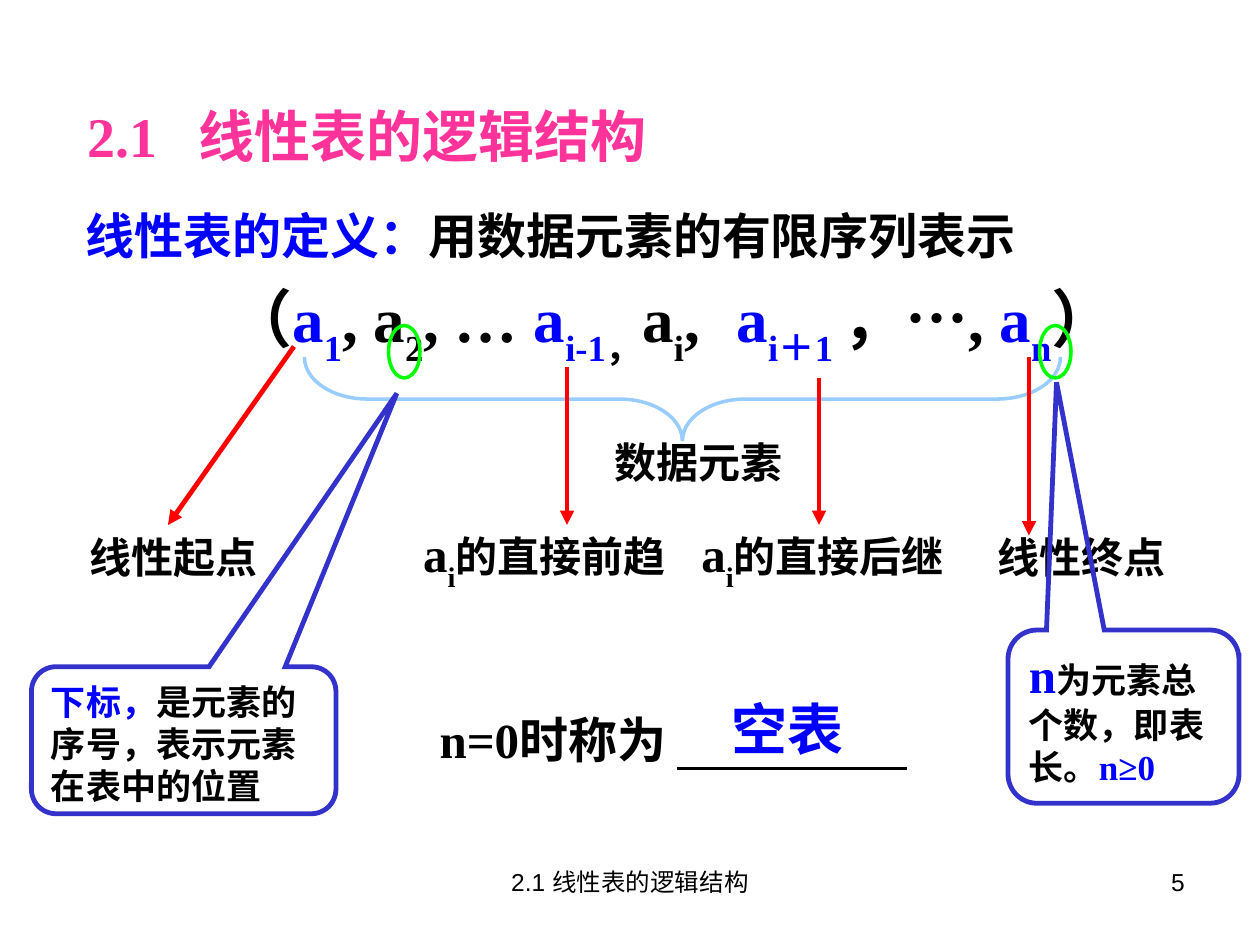
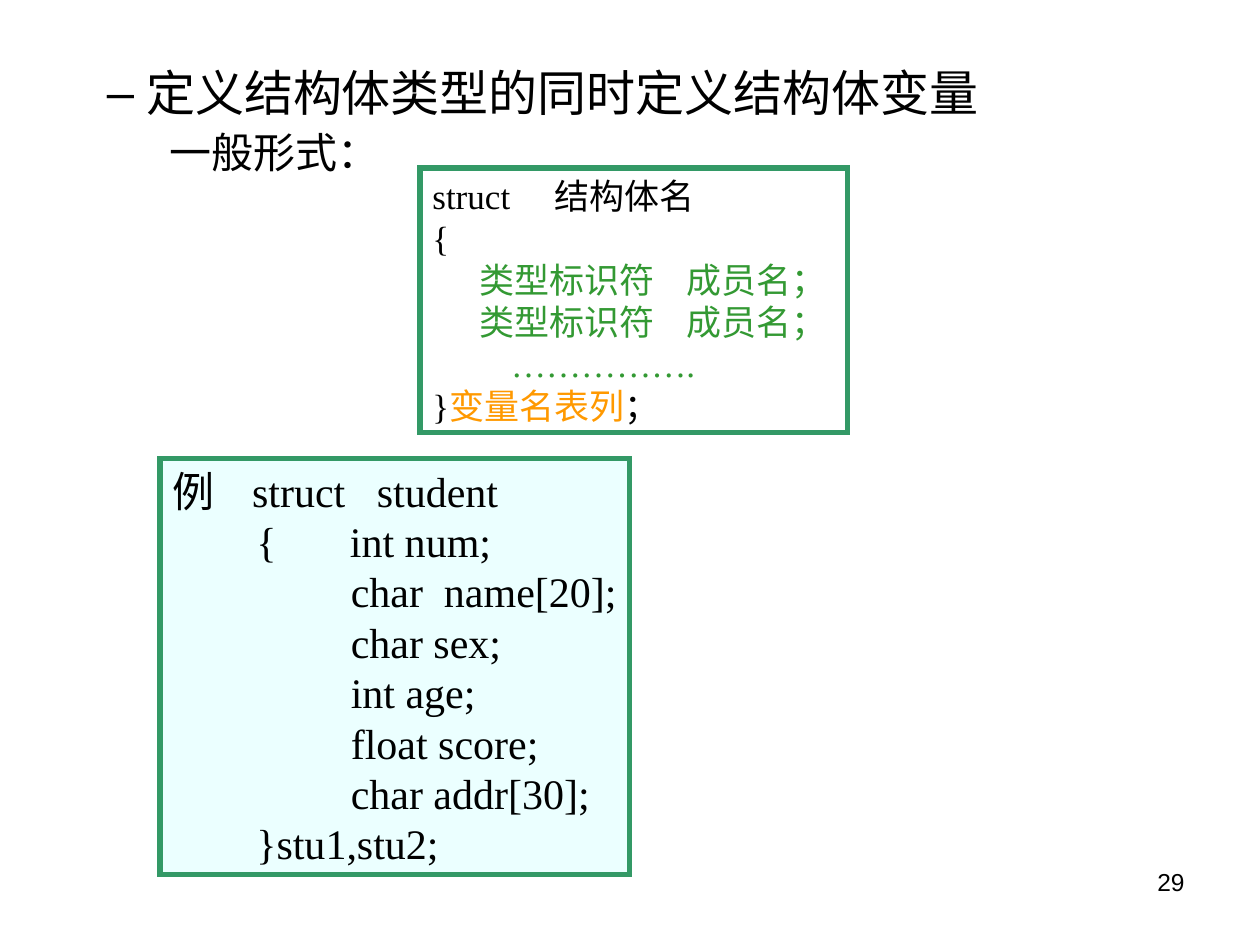
import pptx
import pptx.util
import pptx.dml.color
import pptx.enum.shapes
import pptx.enum.text
import pptx.oxml
import pptx.oxml.ns
from dataclasses import dataclass

Pt = pptx.util.Pt
Align = pptx.enum.text.PP_ALIGN
Anchor = pptx.enum.text.MSO_ANCHOR
Form = pptx.enum.shapes.MSO_SHAPE

# Shared look
SERIF, SANS = "Times New Roman", "Arial"
BLACK, BLUE, PINK, RED = "000000", "0000FF", "FF3399", "FF0000"
INDIGO, SKY, LIME = "3333CC", "99CCFF", "00FF00"
GREEN, LEAF, ORANGE, MINT = "339966", "339933", "FF9900", "EBFFFF"

# The slide is a grid of 120 columns by 90 rows
WIDE, HIGH = 10, 7.5
COLS = 120


@dataclass
class Run:
    text: str
    tint: str = ""
    size: float = 0
    low: bool = False
    gap: float = 0


def unit(count):
    return pptx.util.Inches(count * WIDE / COLS)


def place(*cells):
    return [unit(cell) for cell in cells]


def color(code):
    return pptx.dml.color.RGBColor.from_string(code)


def add_xml(parent, tag, **attrs):
    node = pptx.oxml.parse_xml(f"<a:{tag} {pptx.oxml.ns.nsdecls('a')}/>")
    for key, value in attrs.items():
        node.set(key, value)
    parent.append(node)
    return node


def style(para, size, tint=BLACK, face=SERIF, bold=False):
    font = para.font
    font.name, font.size, font.bold = face, Pt(size), bold
    font.color.rgb = color(tint)


def fill_para(para, runs, size, align=Align.LEFT, **look):
    """Write strings or Run items into one paragraph."""
    para.alignment = align
    style(para, size, **look)
    for item in [runs] if isinstance(runs, str) else runs:
        item = Run(item) if isinstance(item, str) else item
        run = para.add_run()
        run.text = item.text
        if item.tint:
            run.font.color.rgb = color(item.tint)
        if item.size:
            run.font.size = Pt(item.size)
        if item.low:
            run._r.get_or_add_rPr().set("baseline", "-30000")
        if item.gap:
            run._r.get_or_add_rPr().set("spc", str(int(item.gap * 100)))


def add_text(slide, cells, runs, size, align=Align.CENTER, bold=True, **look):
    frame = slide.shapes.add_textbox(*place(*cells)).text_frame
    frame.word_wrap = True
    fill_para(frame.paragraphs[0], runs, size, align, bold=bold, **look)


def add_form(slide, kind, cells, edge, width, fill=None):
    shape = slide.shapes.add_shape(kind, *place(*cells))
    shape.shadow.inherit = False
    shape.line.color.rgb = color(edge)
    shape.line.width = Pt(width)
    add_xml(shape.line._get_or_add_ln(), "miter", lim="800000")
    if fill:
        shape.fill.solid()
        shape.fill.fore_color.rgb = color(fill)
    else:
        shape.fill.background()
    return shape


def add_line(slide, start, end, tint, width, arrow=False):
    kind = pptx.enum.shapes.MSO_CONNECTOR.STRAIGHT
    line = slide.shapes.add_connector(kind, *place(*start, *end))
    line.line.color.rgb = color(tint)
    line.line.width = Pt(width)
    if arrow:
        add_xml(line.line._get_or_add_ln(), "tailEnd", type="triangle")
    add_xml(line._element.spPr, "effectLst")


def add_note(slide, cells, tip, runs):
    """Callout whose tip is given as shares of its own size."""
    note = add_form(slide, Form.ROUNDED_RECTANGULAR_CALLOUT, cells, INDIGO, 2.75)
    for index, value in enumerate((*tip, 0.167)):
        note.adjustments[index] = value
    frame = note.text_frame
    frame.word_wrap = True
    frame.vertical_anchor = Anchor.TOP
    fill_para(frame.paragraphs[0], runs, 20, bold=True)


def add_code(slide, cells, lines, size, fill=None):
    frame = add_form(slide, Form.RECTANGLE, cells, GREEN, 3, fill).text_frame
    frame.word_wrap = True
    frame.margin_right = 0
    frame.vertical_anchor = Anchor.MIDDLE
    for index, runs in enumerate(lines):
        para = frame.add_paragraph() if index else frame.paragraphs[0]
        fill_para(para, runs, size)


def add_foot(slide, number, label=""):
    look = dict(face=SANS, bold=False)
    add_text(slide, (86, 82, 28, 6.2), number, 14, Align.RIGHT, **look)
    if label:
        add_text(slide, (41, 82, 38, 6.2), label, 14, **look)


def set_title(slide, cells, text, stop):
    title = slide.shapes.title
    title.left, title.top, title.width, title.height = place(*cells)
    title.text_frame.vertical_anchor = Anchor.MIDDLE
    para = title.text_frame.paragraphs[0]
    tabs = add_xml(para._p.get_or_add_pPr(), "tabLst")
    add_xml(tabs, "tab", pos=str(unit(stop)), algn="l")
    fill_para(para, text, 32, tint=PINK, bold=True)


def draw_logic(deck):
    slide = deck.slides.add_slide(deck.slide_layouts[5])
    set_title(slide, (7.1, 9.1, 89, 7.6), "2.1\t线性表的逻辑结构", 10.6)

    # Definition and sequence
    add_text(slide, (7, 19, 104, 6.8),
             [Run("线性表的定义：", BLUE), "用数据元素的有限序列表示"], 28, Align.LEFT)
    add_text(slide, (12, 26, 104, 23), [
        "（", Run("a", BLUE), Run("1", BLUE, low=True),
        ", a", Run("2", low=True), ", … ",
        Run("a", BLUE), Run("i-1", BLUE, low=True), Run("，", low=True),
        "a", Run("i", low=True), Run(", ", gap=6),
        Run("a", BLUE), Run("i＋1 ", BLUE, low=True), "，…, ",
        Run("a", BLUE), Run("n", BLUE, low=True), "）"], 36)

    # Brace over all elements
    brace = add_form(slide, Form.LEFT_BRACE, (61, 2, 8, 72), SKY, 2)
    brace.rotation = 270
    brace.adjustments[0] = 0.75
    add_text(slide, (56, 41, 21, 6), "数据元素", 24)

    # Arrows and their labels
    for start, end in [((28, 33), (16, 50)), ((54, 35), (54, 50)),
                       ((78, 36), (78, 50)), ((98, 34), (98, 51))]:
        add_line(slide, start, end, RED, 2.75, arrow=True)
    for left, width, text in [(6, 21, "线性起点"), (92, 22, "线性终点")]:
        add_text(slide, (left, 50, width, 6), text, 24)
    for left, width, text in [(36.7, 30.3, "的直接前趋"), (63.7, 29.3, "的直接后继")]:
        add_text(slide, (left, 49.3, width, 7.8),
                 ["a", Run("i", low=True), Run(text, size=24)], 28)

    # Notes on the subscripts
    add_note(slide, (3, 63.5, 29, 14), (0.7, -2.36),
             [Run("下标，", BLUE), "是元素的序号，表示元素在表中的位置"])
    add_note(slide, (96, 60, 22, 16.5), (-0.29, -1.93),
             [Run("n", BLUE, 28), "为元素总个数，即表长。", Run("n≥0", BLUE)])
    for left in (37, 99):
        add_form(slide, Form.OVAL, (left, 31, 3, 5), LIME, 2)

    # Empty list
    add_text(slide, (37, 67, 31.3, 6.8), "n=0时称为", 28)
    add_text(slide, (68, 65.6, 14, 7.7), "空表", 32, tint=BLUE)
    add_line(slide, (64.5, 73.2), (86.4, 73.2), BLACK, 1.75)
    add_foot(slide, "5", "2.1 线性表的逻辑结构")


def draw_struct(deck):
    slide = deck.slides.add_slide(deck.slide_layouts[6])

    # Heading with a dash, and its sub-line
    frame = slide.shapes.add_textbox(*place(3, 6, 113.2, 11.6)).text_frame
    frame.word_wrap = True
    rows = [("定义结构体类型的同时定义结构体变量", 28, 9.75, -3.75, "–"),
            ("一般形式：", 24, 12, 0, "")]
    for index, (text, size, left, hang, mark) in enumerate(rows):
        para = frame.add_paragraph() if index else frame.paragraphs[0]
        props = para._p.get_or_add_pPr()
        props.set("marL", str(unit(left)))
        props.set("indent", str(unit(hang)))
        if mark:
            add_xml(props, "buFont", typeface=SANS)
            add_xml(props, "buChar", char=mark)
        para.line_spacing = 0.9
        if index:
            para.space_before = Pt(6)
        fill_para(para, text, size, face=SANS)

    # General form
    member = Run("      类型标识符    成员名；", LEAF)
    add_code(slide, (40, 16, 40.7, 25.2), [
        "struct     结构体名", "{", [member], [member],
        [Run("         …………….", LEAF)],
        ["}", Run("变量名表列", ORANGE), "；"]], 20)

    # Example
    fields = ["char  name[20];", "char sex;", "int age;", "float score;",
              "char addr[30];"]
    add_code(slide, (15.25, 43.7, 44.7, 39.6), [
        "例    struct   student", "        {       int num;",
        *(" " * 17 + field for field in fields),
        "        }stu1,stu2;"], 24, MINT)
    add_foot(slide, "29")


def main():
    deck = pptx.Presentation()
    deck.slide_width = pptx.util.Inches(WIDE)
    deck.slide_height = pptx.util.Inches(HIGH)
    draw_logic(deck)
    draw_struct(deck)
    deck.save("out.pptx")


if __name__ == "__main__":
    main()
